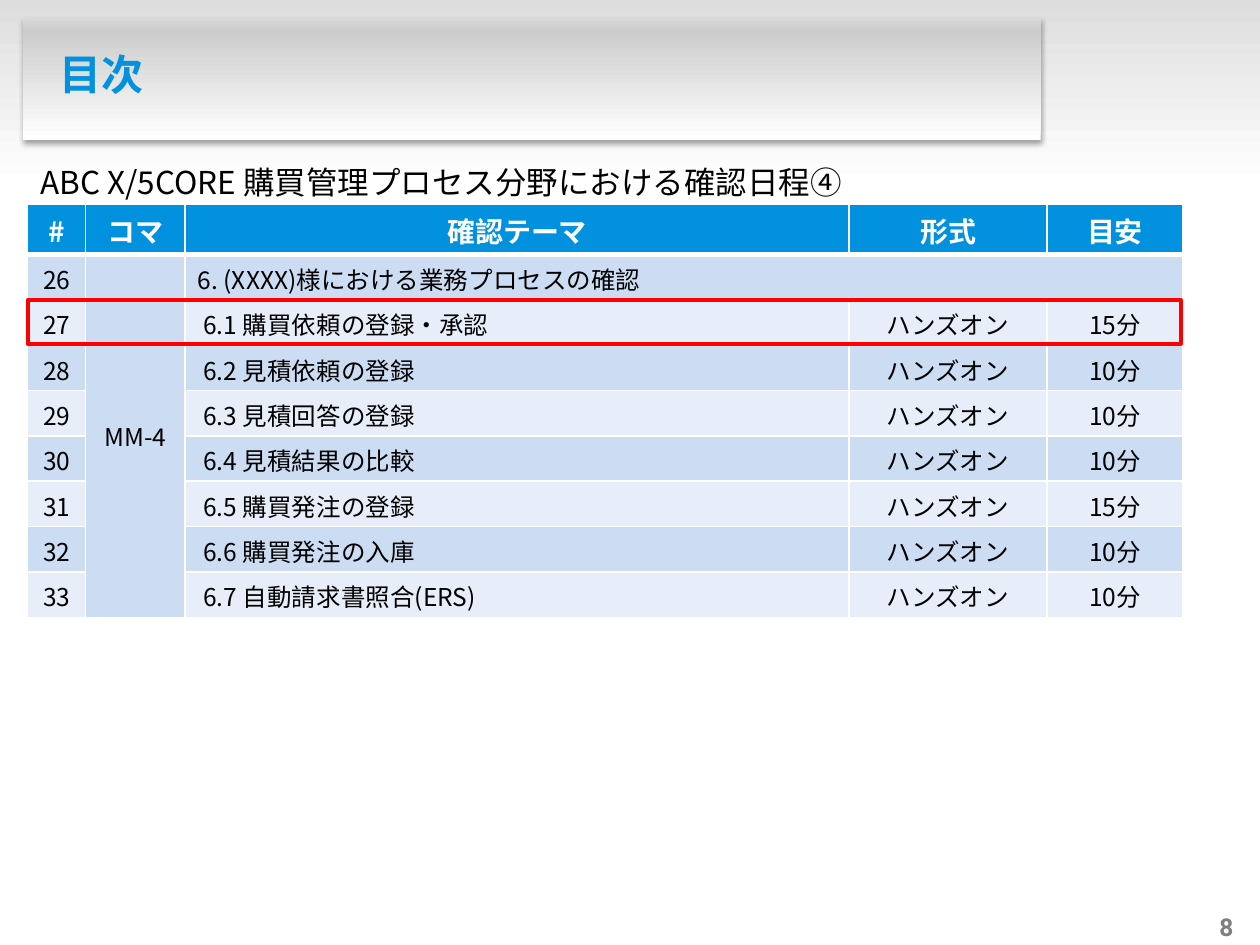
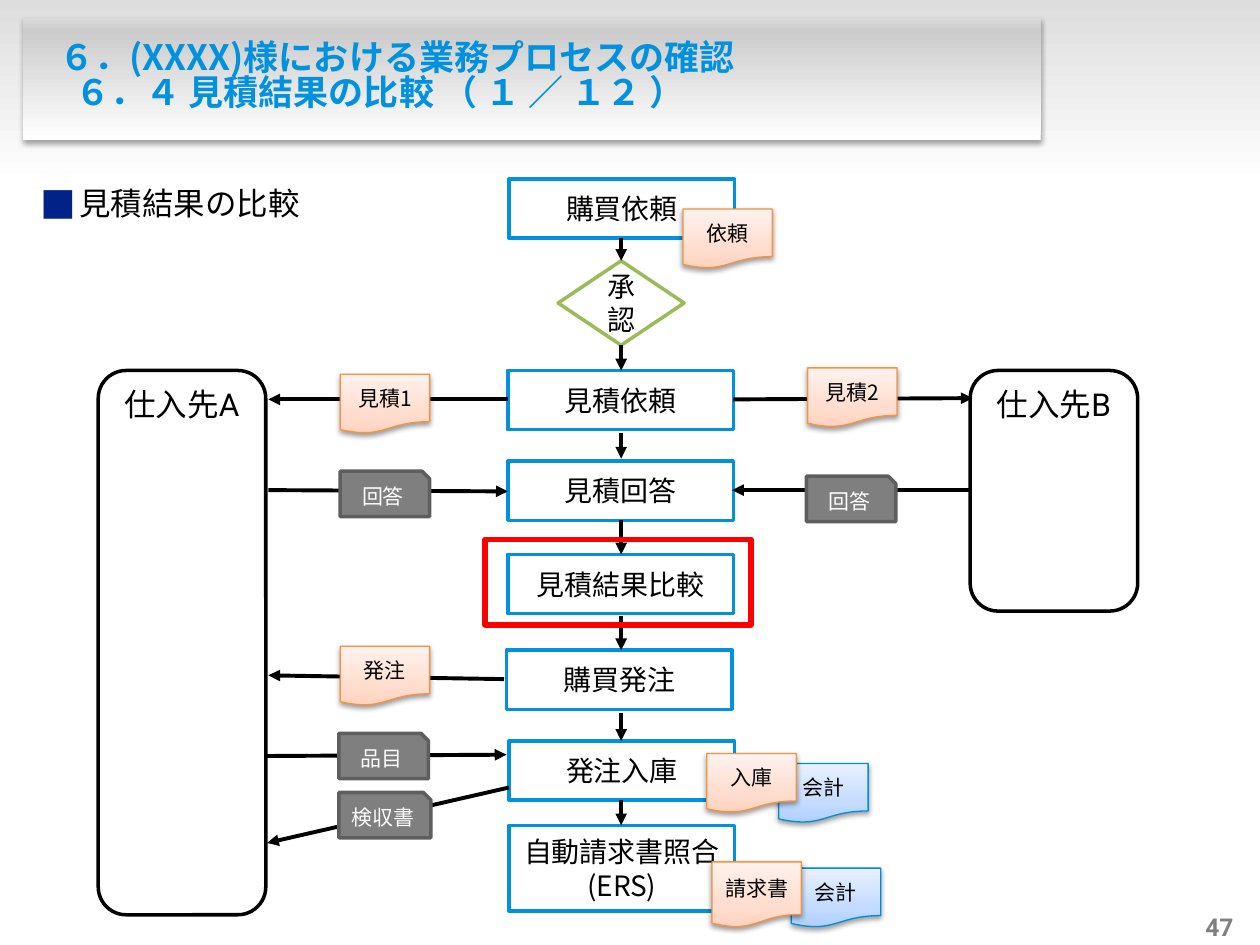
from dataclasses import dataclass

from lxml.etree import SubElement
from pptx import Presentation
from pptx.dml.color import RGBColor
from pptx.enum.shapes import MSO_CONNECTOR, MSO_SHAPE
from pptx.enum.text import MSO_ANCHOR, MSO_AUTO_SIZE, PP_ALIGN
from pptx.oxml.ns import qn
from pptx.util import Inches, Pt


@dataclass(frozen=True)
class Theme:
    font: str = "Noto Sans CJK JP"
    latin: str = "Roboto"
    blue: str = "0191DE"
    navy: str = "002289"
    black: str = "000000"
    white: str = "FFFFFF"
    red: str = "FF0000"
    green: str = "9BBB59"
    gray: str = "7F7F7F"
    edge: str = "5E5E5E"
    rows: tuple = ("CCDCF2", "E7EEF9")
    # Gradient stops run from the bottom edge to the top edge.
    sky: tuple = ((0, "FFFFFF"), (100, "DDDDDD"))
    panel: tuple = ((0, "FFFFFF"), (89, "CCCCCC"), (100, "D9D9D9"))
    peach: tuple = ((0, "FFD2BD"), (35, "FFDED0"), (100, "FFF2ED"))
    ice: tuple = ((0, "ADCFFF"), (35, "C5DCFF"), (100, "E9F1FF"))
    orange: str = "F69240"
    azure: str = "008EDA"
    head: int = 24
    sub: int = 20
    lead: int = 18
    step: int = 16
    cell: int = 14
    tag: int = 12


def node(parent, name, **attrs):
    child = SubElement(parent, qn(name))
    for key, value in attrs.items():
        child.set(key, str(value))
    return child


def place(shape, left, top, width, height):
    shape.left, shape.top = Inches(left), Inches(top)
    shape.width, shape.height = Inches(width), Inches(height)


class Deck:
    def __init__(self, theme):
        self.look = theme
        self.file = Presentation()
        self.file.slide_width, self.file.slide_height = Inches(10), Inches(7.5)
        self.layout = self.file.slide_layouts[1]
        self.slide = None

    def start(self, title, size, number):
        first = self.slide is None
        self.slide = self.file.slides.add_slide(self.layout)
        if first:
            self.bands()
        self.title(title, size)
        self.number(number)

    def bands(self):
        """Draw the top bands and move them to the shared layout."""
        sky = self.shape(MSO_SHAPE.RECTANGLE, (0, 0, 10, 1.47), self.look.sky)
        panel = self.shape(MSO_SHAPE.RECTANGLE, (0.18, 0.14, 8.08, 0.97),
                           self.look.panel)
        self.shade(panel, 35)
        for spot, band in enumerate((sky, panel), 2):
            self.layout.shapes.element.insert(spot, band.element)

    def style(self, run, size, color, bold=False, font=None):
        run.font.name = font or self.look.font
        run.font.size, run.font.bold = Pt(size), bold
        run.font.color.rgb = RGBColor.from_string(color)
        node(run.font._element, "a:ea", typeface=self.look.font)

    def put(self, frame, text, size, color=None, bold=False,
            align=PP_ALIGN.CENTER, font=None):
        """Set the text of a frame, then format its runs."""
        frame.text = text
        for line in frame.paragraphs:
            line.alignment = align
            for run in line.runs:
                self.style(run, size, color or self.look.black, bold, font)

    def title(self, text, size):
        holder = self.slide.shapes.title
        place(holder, 0.28, 0.24, 7.86, 0.75)
        frame = holder.text_frame
        frame.auto_size = MSO_AUTO_SIZE.NONE
        frame.vertical_anchor = MSO_ANCHOR.MIDDLE
        frame.margin_left, frame.margin_right = 0, Inches(0.05)
        self.put(frame, text, size, self.look.blue, True, PP_ALIGN.LEFT)
        for level, line in enumerate(frame.paragraphs):
            line.line_spacing = 0.83
            self.indent(line, 0.19 + 0.13 * level)

    def indent(self, line, left, hang=0):
        props = line._p.get_or_add_pPr()
        props.set("marL", str(Inches(left)))
        props.set("indent", str(-Inches(hang)))
        return props

    def body(self, text, top, bullet=False):
        holder = self.slide.placeholders[1]
        place(holder, 0.22, top, 9.65, 5.74)
        frame = holder.text_frame
        frame.auto_size = MSO_AUTO_SIZE.NONE
        self.put(frame, text, self.look.lead, align=PP_ALIGN.LEFT)
        line = frame.paragraphs[0]
        if not bullet:
            node(self.indent(line, 0), "a:buNone")
            return
        line.line_spacing = 1.5
        props = self.indent(line, 0.31, 0.31)
        node(node(props, "a:buClr"), "a:srgbClr", val=self.look.navy)
        node(props, "a:buSzPct", val=113000)
        node(props, "a:buFont", typeface=self.look.font)
        node(props, "a:buChar", char="■")

    def number(self, value):
        box = self.slide.shapes.add_textbox(
            Inches(9.46), Inches(7.23), Inches(0.33), Inches(0.24))
        frame = box.text_frame
        frame.margin_left = frame.margin_right = 0
        frame.margin_top = frame.margin_bottom = 0
        frame.vertical_anchor = MSO_ANCHOR.BOTTOM
        frame.word_wrap = True
        self.put(frame, str(value), self.look.cell, self.look.gray, True,
                 PP_ALIGN.RIGHT, self.look.latin)

    def shape(self, kind, box, fill=None, line=None, width=2):
        """Fill is a colour, a tuple of gradient stops, or None."""
        item = self.slide.shapes.add_shape(kind, *map(Inches, box))
        item.shadow.inherit = False
        if fill is None:
            item.fill.background()
        elif isinstance(fill, str):
            item.fill.solid()
            item.fill.fore_color.rgb = RGBColor.from_string(fill)
        else:
            item.fill.gradient()
            item.fill.gradient_angle = 90
            stops = item.element.spPr.find(".//" + qn("a:gsLst"))
            stops.clear()
            for spot, color in fill:
                stop = node(stops, "a:gs", pos=spot * 1000)
                node(stop, "a:srgbClr", val=color)
        if line:
            item.line.color.rgb = RGBColor.from_string(line)
            item.line.width = Pt(width)
        else:
            item.line.fill.background()
        return item

    def shade(self, item, alpha):
        effects = item.element.spPr.find(qn("a:effectLst"))
        cast = node(effects, "a:outerShdw", blurRad=Pt(3.1), dist=Pt(1.7),
                    dir=5400000, rotWithShape=0)
        color = node(cast, "a:srgbClr", val=self.look.black)
        node(color, "a:alpha", val=alpha * 1000)

    def frame(self, box, width):
        self.shape(MSO_SHAPE.RECTANGLE, box, None, self.look.red, width)

    def step(self, text, left, top, height=0.47):
        item = self.shape(MSO_SHAPE.RECTANGLE, (left, top, 1.79, height),
                          self.look.white, self.look.blue)
        self.put(item.text_frame, text, self.look.step)

    def choice(self, text, box):
        item = self.shape(MSO_SHAPE.FLOWCHART_DECISION, box,
                          self.look.white, self.look.green)
        self.put(item.text_frame, text, self.look.step)

    def vendor(self, letter, left, height):
        item = self.shape(MSO_SHAPE.ROUNDED_RECTANGLE,
                          (left, 2.94, 1.33, height),
                          self.look.white, self.look.black)
        frame = item.text_frame
        frame.vertical_anchor = MSO_ANCHOR.TOP
        self.put(frame, "仕入先", self.look.lead)
        run = frame.paragraphs[0].add_run()
        run.text = letter
        self.style(run, self.look.lead, self.look.black, font=self.look.latin)

    def label(self, item, text, color):
        item.text_frame.margin_left = item.text_frame.margin_right = 0
        self.put(item.text_frame, text, self.look.tag, color)

    def paper(self, text, left, top, height=0.47, cool=False):
        fill, line = ((self.look.ice, self.look.azure) if cool
                      else (self.look.peach, self.look.orange))
        item = self.shape(MSO_SHAPE.FLOWCHART_DOCUMENT,
                          (left, top, 0.71, height), fill, line, 0.75)
        self.shade(item, 38)
        self.label(item, text, self.look.black)

    def card(self, text, left, top, width=0.71):
        item = self.shape(MSO_SHAPE.SNIP_1_RECTANGLE, (left, top, width, 0.36),
                          self.look.gray, self.look.edge)
        self.label(item, text, self.look.white)

    def arrow(self, *ends):
        item = self.slide.shapes.add_connector(
            MSO_CONNECTOR.STRAIGHT, *map(Inches, ends))
        item.line.color.rgb = RGBColor.from_string(self.look.black)
        item.line.width = Pt(2.25)
        props = item.element.spPr
        node(props.find(qn("a:ln")), "a:tailEnd", type="triangle")
        node(props, "a:effectLst")

    def cell(self, cell, text, fill, head, align, thick):
        """Thick names the side that carries the heavy rule."""
        props = cell._tc.get_or_add_tcPr()
        for side in "LRTB":
            rule = node(props, "a:ln" + side, w=Pt(3 if side == thick else 1))
            node(node(rule, "a:solidFill"), "a:srgbClr", val=self.look.white)
        cell.fill.solid()
        cell.fill.fore_color.rgb = RGBColor.from_string(fill)
        cell.vertical_anchor = MSO_ANCHOR.MIDDLE
        self.put(cell.text_frame, text,
                 self.look.step if head else self.look.cell,
                 self.look.white if head else self.look.black, head, align)

    def table(self, rows, widths, left, top):
        grid = self.slide.shapes.add_table(
            len(rows), len(widths), Inches(left), Inches(top),
            Inches(sum(widths)), Inches(0.4 + 0.36 * (len(rows) - 1))).table
        for col, width in zip(grid.columns, widths):
            col.width = Inches(width)
        for r, row in enumerate(rows):
            grid.rows[r].height = Inches(0.36 if r else 0.4)
            for c, text in enumerate(row):
                tone = self.look.rows[0 if c == 1 else (r - 1) % 2]
                align = PP_ALIGN.LEFT if r and c == 2 else PP_ALIGN.CENTER
                self.cell(grid.cell(r, c), text, tone if r else self.look.blue,
                          r == 0, align, {0: "B", 1: "T"}.get(r))
        return grid


def agenda(deck):
    deck.start("目次", deck.look.head, 8)
    deck.body("ABC X/5CORE 購買管理プロセス分野における確認日程④", 1.24)
    themes = (("購買依頼の登録・承認", 15), ("見積依頼の登録", 10),
              ("見積回答の登録", 10), ("見積結果の比較", 10),
              ("購買発注の登録", 15), ("購買発注の入庫", 10),
              ("自動請求書照合(ERS)", 10))
    rows = [("#", "コマ", "確認テーマ", "形式", "目安"),
            ("26", "MM-4", "6. (XXXX)様における業務プロセスの確認", "", "")]
    for n, (name, time) in enumerate(themes, 1):
        rows.append((str(26 + n), "", f" 6.{n} {name}", "ハンズオン", f"{time}分"))
    grid = deck.table(rows, (0.46, 0.79, 5.27, 1.57, 1.08), 0.22, 1.62)
    grid.cell(1, 1).merge(grid.cell(8, 1))
    grid.cell(1, 2).merge(grid.cell(1, 4))
    deck.frame((0.22, 2.38, 9.15, 0.35), 2.25)


def flow(deck):
    deck.start("６．(XXXX)様における業務プロセスの確認\n"
               "６．４ 見積結果の比較 （ １ ／ １２ ）", deck.look.sub, 47)
    deck.body("見積結果の比較", 1.26, bullet=True)
    for left, top in ((6.28, 6.89), (6.18, 6.06)):
        deck.paper("会計", left, top, cool=True)

    deck.step("自動請求書照合\n(ERS)", 4.04, 6.55, 0.68)
    deck.choice("承認", (4.43, 2.07, 1, 0.67))
    for text, left, top in (
            ("購買依頼", 4.04, 1.42), ("見積依頼", 4.03, 2.94),
            ("見積回答", 4.03, 3.66), ("見積結果比較", 4.03, 4.4),
            ("購買発注", 4.02, 5.16), ("発注入庫", 4.04, 5.88)):
        deck.step(text, left, top)
    for top, end in ((1.89, 2.07), (2.74, 2.94), (3.44, 3.64), (4.13, 4.4),
                     (4.89, 5.16), (5.66, 5.88), (6.35, 6.55)):
        deck.arrow(4.93, top, 4.93, end)

    deck.vendor("A", 0.78, 4.32)
    deck.vendor("B", 7.7, 1.91)
    for ends in ((4.03, 3.17, 2.13, 3.17), (4, 5.39, 2.13, 5.36),
                 (7.7, 3.89, 5.81, 3.89), (2.13, 3.89, 4.03, 3.9),
                 (2.12, 6, 4.02, 5.99), (4.04, 6.25, 2.12, 6.69),
                 (5.82, 3.17, 7.72, 3.16)):
        deck.arrow(*ends)

    deck.paper("請求書", 5.65, 6.84, 0.52)
    for text, left, top in (
            ("入庫", 5.61, 5.98), ("発注", 2.7, 5.13), ("見積1", 2.7, 2.97),
            ("見積2", 6.41, 2.92), ("依頼", 5.42, 1.66)):
        deck.paper(text, left, top)
    for text, left, top in (("回答", 2.7, 3.74), ("回答", 6.4, 3.78),
                            ("品目", 2.69, 5.82)):
        deck.card(text, left, top)
    deck.card("検収書", 2.69, 6.29, 0.73)
    deck.frame((3.85, 4.28, 2.11, 0.68), 3)


def main():
    deck = Deck(Theme())
    agenda(deck)
    flow(deck)
    deck.file.save("out.pptx")


if __name__ == "__main__":
    main()
